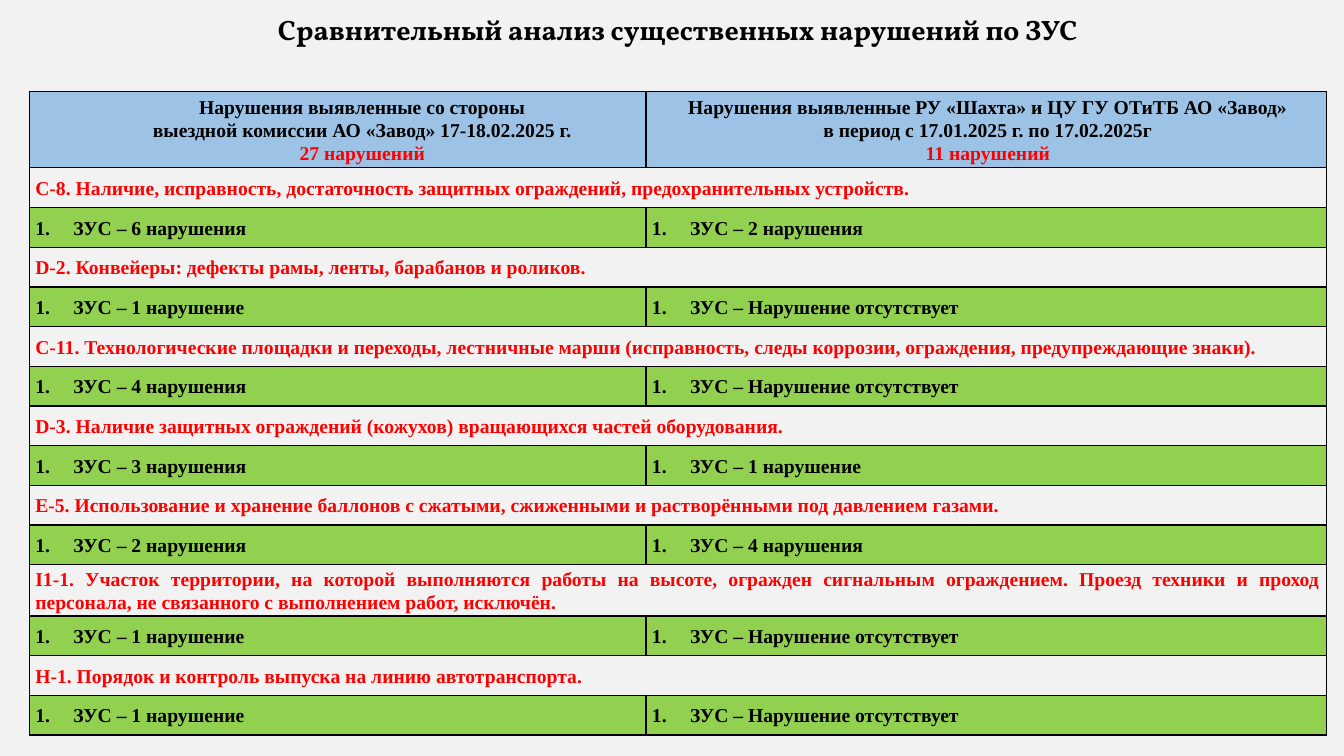
from dataclasses import dataclass

from lxml.etree import SubElement
from pptx import Presentation
from pptx.dml.color import RGBColor
from pptx.enum.text import MSO_ANCHOR as Anchor, MSO_AUTO_SIZE as AutoSize, PP_ALIGN as Align
from pptx.oxml.ns import qn
from pptx.util import Cm, Pt

COLORS = {
    "page": "F2F2F2",
    "header": "9CC2E5",
    "count": "92D050",
    "text": "000000",
    "accent": "FF0000",
}
HEADER_HEIGHT, ROW_HEIGHT, TALL_ROW_HEIGHT = Cm(1.92), Cm(1), Cm(1.29)
COLUMN_WIDTHS = Cm(15.54), Cm(17.15)
NUMBER_INDENT = Cm(0.96)


@dataclass
class Source:
    lines: list[str]
    total: str
    indent: float


@dataclass
class Category:
    name: str
    commission: str
    department: str
    height: int = ROW_HEIGHT


SOURCES = [
    Source(["Нарушения выявленные со стороны", "выездной комиссии АО «Завод» 17-18.02.2025 г."],
           "27 нарушений", 1.24),
    Source(["Нарушения выявленные РУ «Шахта» и ЦУ ГУ ОТиТБ АО «Завод»",
            "в период с 17.01.2025 г. по 17.02.2025г"], "11 нарушений", 0.08),
]
CATEGORIES = [
    Category("С-8. Наличие, исправность, достаточность защитных ограждений, предохранительных устройств.",
             "6 нарушения", "2 нарушения"),
    Category("D-2. Конвейеры: дефекты рамы, ленты, барабанов и роликов.",
             "1 нарушение", "Нарушение отсутствует"),
    Category("С-11. Технологические площадки и переходы, лестничные марши (исправность, следы коррозии, "
             "ограждения, предупреждающие знаки).", "4 нарушения", "Нарушение отсутствует"),
    Category("D-3. Наличие защитных ограждений (кожухов) вращающихся частей оборудования.",
             "3 нарушения", "1 нарушение"),
    Category("Е-5. Использование и хранение баллонов с сжатыми, сжиженными и растворёнными под давлением газами.",
             "2 нарушения", "4 нарушения"),
    Category("I1-1. Участок территории, на которой выполняются работы на высоте, огражден сигнальным "
             "ограждением. Проезд техники и проход персонала, не связанного с выполнением работ, исключён.",
             "1 нарушение", "Нарушение отсутствует", TALL_ROW_HEIGHT),
    Category("H-1. Порядок и контроль выпуска на линию автотранспорта.",
             "1 нарушение", "Нарушение отсутствует"),
]


def write(paragraph, text: str, *, size: float = 14, font: str = "Times New Roman",
          color: str = "text", align=Align.JUSTIFY, spacing: float = 1.07,
          indent: int = 0, numbered: bool = False) -> None:
    """Fill a paragraph with one formatted bold run."""
    properties = paragraph._p.get_or_add_pPr()
    properties.set("marL", str(int(indent)))
    properties.set("indent", str(-int(indent) if numbered else 0))
    if numbered:
        SubElement(properties, qn("a:buFont"), typeface="+mj-lt")
        SubElement(properties, qn("a:buAutoNum"), type="arabicPeriod")
    paragraph.alignment = align
    paragraph.line_spacing = spacing
    run = paragraph.add_run()
    run.text = text
    run.font.name = font
    run.font.size = Pt(size)
    run.font.bold = True
    run.font.color.rgb = RGBColor.from_string(COLORS[color])


def style_cell(cell, fill: str | None = None) -> None:
    """Set the margins, borders and fill of a table cell."""
    cell.margin_left = cell.margin_right = Cm(0.15)
    cell.margin_top, cell.margin_bottom = Cm(0.02), Cm(0)
    cell.vertical_anchor = Anchor.MIDDLE
    properties = cell._tc.get_or_add_tcPr()
    for side in ("lnL", "lnR", "lnT", "lnB"):
        border = SubElement(properties, qn(f"a:{side}"), w=str(Pt(1)))
        SubElement(SubElement(border, qn("a:solidFill")), qn("a:srgbClr"), val=COLORS["text"])
    if fill:
        cell.fill.solid()
        cell.fill.fore_color.rgb = RGBColor.from_string(COLORS[fill])
    else:
        cell.fill.background()


def add_title(slide, text: str) -> None:
    """Place the slide title."""
    title = slide.shapes.title
    title.left, title.top, title.width, title.height = Cm(1.96), Cm(0.18), Cm(30.25), Cm(1.96)
    frame = title.text_frame
    frame.word_wrap = True
    frame.auto_size = AutoSize.NONE
    frame.vertical_anchor = Anchor.TOP
    write(frame.paragraphs[0], text, size=20, font="Vollkorn", align=Align.CENTER, spacing=1)


def fill_header(cell, source: Source) -> None:
    """Write the source of the findings and their total."""
    style_cell(cell, "header")
    frame = cell.text_frame
    for index, line in enumerate([*source.lines, source.total]):
        paragraph = frame.add_paragraph() if index else frame.paragraphs[0]
        write(paragraph, line, color="accent" if line == source.total else "text",
              align=Align.CENTER, indent=Cm(source.indent))


def fill_category(table, row: int, category: Category) -> None:
    """Write a category row and the row of counts below it."""
    table.rows[row].height = category.height
    table.rows[row + 1].height = ROW_HEIGHT
    name = table.cell(row, 0)
    name.merge(table.cell(row, 1))
    write(name.text_frame.paragraphs[0], category.name, color="accent")
    for column, count in enumerate((category.commission, category.department)):
        style_cell(table.cell(row, column))
        count_cell = table.cell(row + 1, column)
        style_cell(count_cell, "count")
        write(count_cell.text_frame.paragraphs[0], f"ЗУС – {count}",
              indent=NUMBER_INDENT, numbered=True)


def add_comparison(slide) -> None:
    """Build the table that compares both sources."""
    heights = HEADER_HEIGHT + sum(category.height + ROW_HEIGHT for category in CATEGORIES)
    table = slide.shapes.add_table(1 + 2 * len(CATEGORIES), len(SOURCES), Cm(0.74), Cm(2.31),
                                   sum(COLUMN_WIDTHS), heights).table
    table.first_row = table.horz_banding = False
    table.rows[0].height = HEADER_HEIGHT
    for column, (width, source) in enumerate(zip(COLUMN_WIDTHS, SOURCES)):
        table.columns[column].width = width
        fill_header(table.cell(0, column), source)
    for index, category in enumerate(CATEGORIES):
        fill_category(table, 1 + 2 * index, category)


def main() -> None:
    """Build and save the slide."""
    presentation = Presentation()
    presentation.slide_width, presentation.slide_height = Cm(33.87), Cm(19.05)
    slide = presentation.slides.add_slide(presentation.slide_layouts[5])
    background = slide.background.fill
    background.solid()
    background.fore_color.rgb = RGBColor.from_string(COLORS["page"])
    add_title(slide, "Сравнительный анализ существенных нарушений по ЗУС")
    add_comparison(slide)
    presentation.save("out.pptx")


if __name__ == "__main__":
    main()
